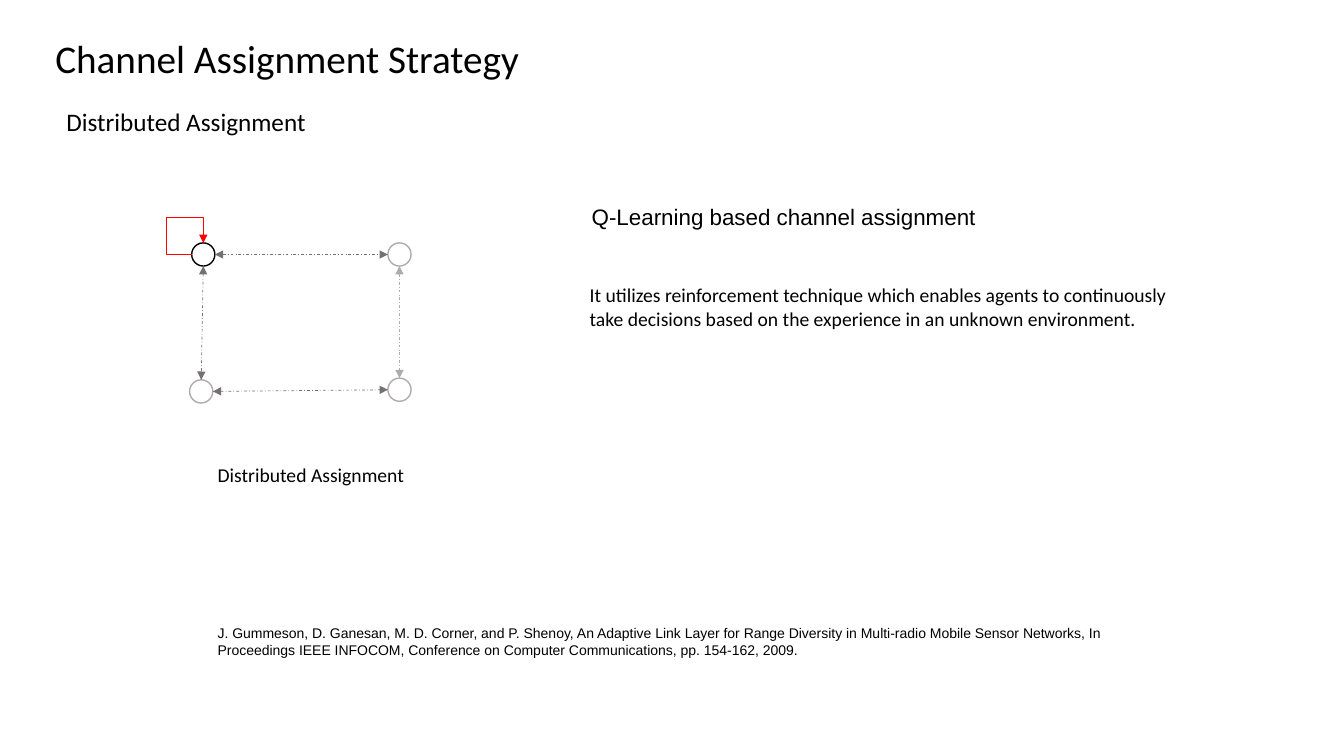
from dataclasses import dataclass
from pptx import Presentation
from pptx.dml.color import RGBColor as RGB
from pptx.enum.dml import MSO_LINE as Dash
from pptx.enum.shapes import MSO_CONNECTOR as Conn, MSO_SHAPE as Kind
from pptx.enum.text import MSO_AUTO_SIZE as Auto
from pptx.oxml.ns import qn
from pptx.util import Inches, Pt
from lxml.etree import SubElement as Sub


@dataclass(frozen=True)
class Theme:
    ink: RGB = RGB(0, 0, 0)
    paper: RGB = RGB(255, 255, 255)
    pale: RGB = RGB(0xAF, 0xAB, 0xAB)
    dark: RGB = RGB(0x76, 0x71, 0x71)
    loop: RGB = RGB(255, 0, 0)
    sans: str = "Calibri"
    plain: str = "Arial"
    title: int = 28
    head: int = 18
    topic: int = 16
    body: int = 14
    cite: int = 10
    edge: float = 1
    thin: float = 0.5


LOOK = Theme()
WIDE, HIGH = 13.33, 7.5
ROWS = 90
RAD = 1.38


def cell(num):
    return round(Inches(HIGH) * num / ROWS)


def label(slide, spot, text, size, font, wrap=True):
    frame = slide.shapes.add_textbox(*map(cell, spot)).text_frame
    frame.word_wrap = wrap
    frame.auto_size = Auto.SHAPE_TO_FIT_TEXT
    para = frame.paragraphs[0]
    para.text = text
    para.font.size = Pt(size)
    para.font.name = font
    para.font.color.rgb = LOOK.ink


def node(slide, mid, color):
    x, y = mid
    box = map(cell, (x - RAD, y - RAD, 2 * RAD, 2 * RAD))
    ring = slide.shapes.add_shape(Kind.OVAL, *box)
    ring.shadow.inherit = False
    ring.fill.solid()
    ring.fill.fore_color.rgb = LOOK.paper
    ring.line.color.rgb = color
    ring.line.width = Pt(LOOK.edge)


def stroke(line, color, ends):
    line.color.rgb = color
    line.width = Pt(LOOK.thin)
    ln = line._get_or_add_ln()
    for end in ends:
        Sub(ln, qn("a:" + end), type="triangle")


def link(slide, start, stop, color):
    wire = slide.shapes.add_connector(Conn.STRAIGHT, *map(cell, start + stop))
    wire.line.dash_style = Dash.DASH_DOT
    stroke(wire.line, color, ("headEnd", "tailEnd"))
    Sub(wire._element.spPr, qn("a:effectLst"))


def across(slide, left, right, color):
    link(slide, (left[0] + RAD, left[1]), (right[0] - RAD, right[1]), color)


def down(slide, top, low, color):
    link(slide, (top[0], top[1] + RAD), (low[0], low[1] - RAD), color)


def loop(slide, mid, reach):
    x, y = mid
    far, top = x - reach, y - reach
    route = [(x - RAD, y), (far, y), (far, top), (x, top), (x, y - RAD)]
    dots = [tuple(map(cell, dot)) for dot in route]
    pen = slide.shapes.build_freeform(*dots[0])
    pen.add_line_segments(dots[1:], close=False)
    bend = pen.convert_to_shape()
    bend.shadow.inherit = False
    bend.fill.background()
    stroke(bend.line, LOOK.loop, ("tailEnd",))


def mesh(slide):
    agent, east = (24.2, 30.3), (47.55, 30.3)
    south, far = (23.95, 46.6), (47.55, 46.4)
    node(slide, agent, LOOK.ink)
    for mid in (east, south, far):
        node(slide, mid, LOOK.pale)
    down(slide, agent, south, LOOK.dark)
    across(slide, agent, east, LOOK.dark)
    down(slide, east, far, LOOK.pale)
    across(slide, south, far, LOOK.dark)
    loop(slide, agent, 4.4)


def main():
    deck = Presentation()
    deck.slide_width, deck.slide_height = Inches(WIDE), Inches(HIGH)
    slide = deck.slides.add_slide(deck.slide_layouts[6])
    label(slide, (5.4, 3.48, 58.2, 6.84), "Channel Assignment Strategy",
          LOOK.title, LOOK.sans, False)
    label(slide, (6.72, 12.12, 55.32, 4.8), "Distributed Assignment",
          LOOK.head, LOOK.sans)
    mesh(slide)
    label(slide, (24.72, 54.48, 24.84, 4.08), "Distributed Assignment",
          LOOK.body, LOOK.sans, False)
    label(slide, (69.24, 23.64, 75.72, 4.44),
          "Q-Learning based channel assignment", LOOK.topic, LOOK.plain)
    label(slide, (69, 33.12, 74.52, 9.72),
          "It utilizes reinforcement technique which enables agents to "
          "continuously take decisions based on the experience in an "
          "unknown environment.", LOOK.body, LOOK.sans)
    label(slide, (24.72, 73.8, 107.64, 5.28),
          "J. Gummeson, D. Ganesan, M. D. Corner, and P. Shenoy, An Adaptive "
          "Link Layer for Range Diversity in Multi-radio Mobile Sensor "
          "Networks, In Proceedings IEEE INFOCOM, Conference on Computer "
          "Communications, pp. 154-162, 2009.", LOOK.cite, LOOK.plain)
    deck.save("out.pptx")


if __name__ == "__main__":
    main()
